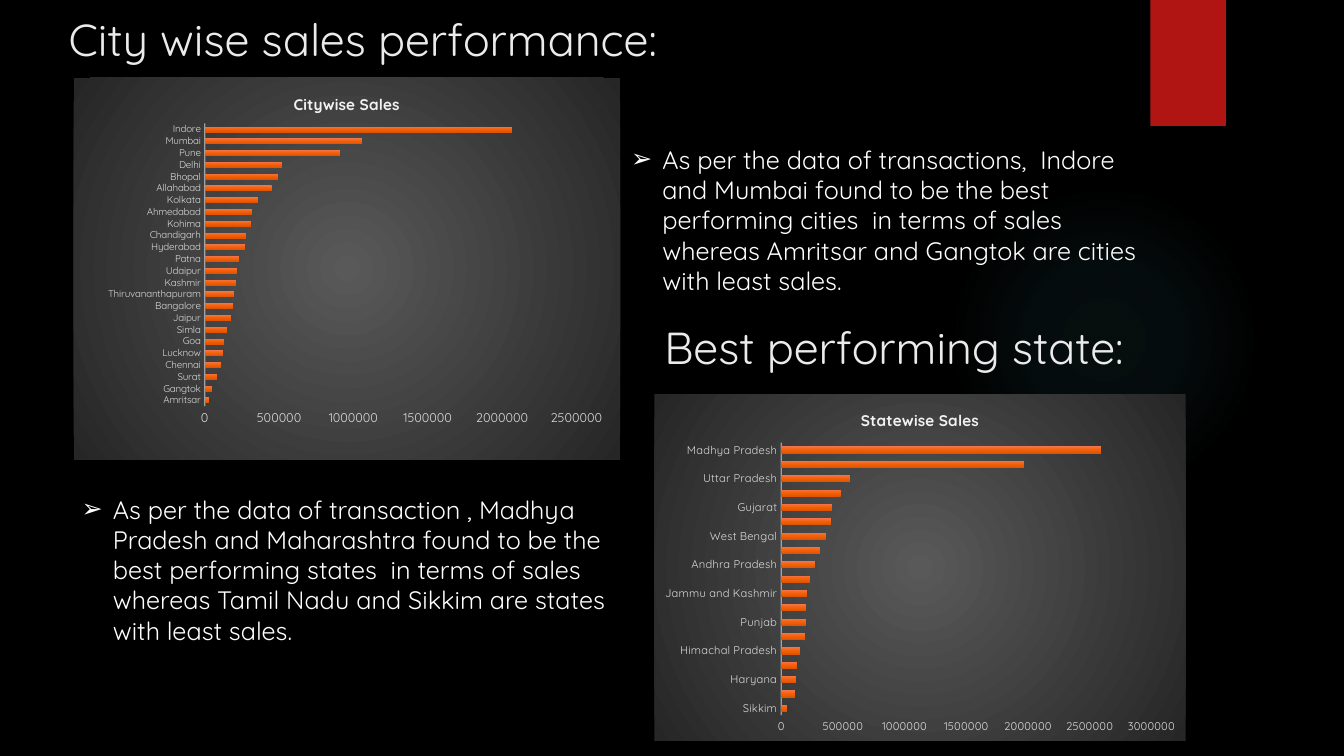
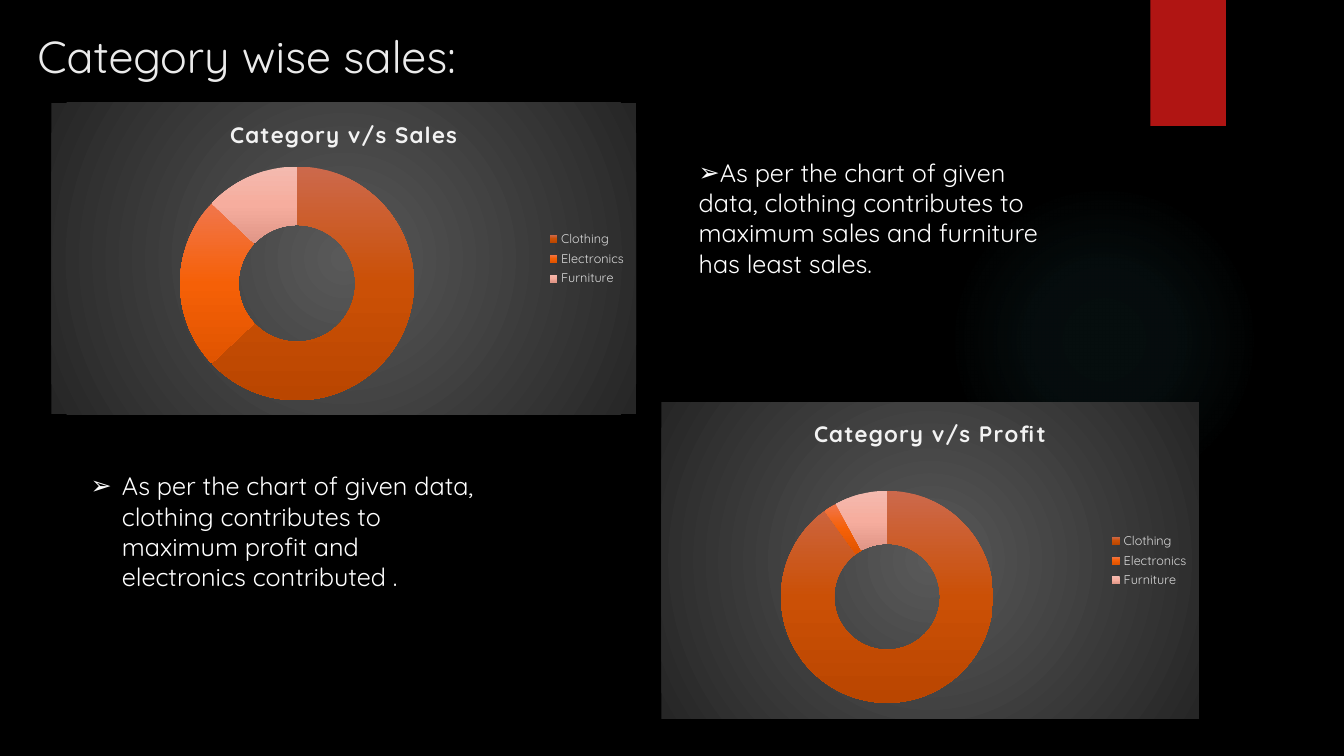
"""Build two dark slides on sales by city, state and category."""
from lxml import etree
from pptx import Presentation
from pptx.chart.data import CategoryChartData
from pptx.dml.color import RGBColor
from pptx.enum.chart import XL_CHART_TYPE, XL_LEGEND_POSITION, XL_TICK_MARK
from pptx.enum.shapes import MSO_SHAPE
from pptx.enum.text import MSO_ANCHOR, MSO_AUTO_SIZE, PP_ALIGN
from pptx.oxml import parse_xml
from pptx.oxml.ns import nsdecls, qn
from pptx.util import Inches, Pt

BAR = XL_CHART_TYPE.BAR_CLUSTERED
DOUGHNUT = XL_CHART_TYPE.DOUGHNUT
LEGEND_RIGHT = XL_LEGEND_POSITION.RIGHT
NO_TICK = XL_TICK_MARK.NONE
OVAL, RECTANGLE = MSO_SHAPE.OVAL, MSO_SHAPE.RECTANGLE
TOP, BOTTOM = MSO_ANCHOR.TOP, MSO_ANCHOR.BOTTOM
NO_AUTOFIT = MSO_AUTO_SIZE.NONE
LEFT = PP_ALIGN.LEFT

FONT = "Quicksand"
COLORS = {
    "background": "000000", "ribbon": "B01513", "glow": "50B9C1",
    "heading": "EBEBEB", "text": "FFFFFF", "chart_title": "F2F2F2",
    "label": "D9D9D9", "axis": "F2F2F2",
}
ORANGE = [(0, "F1764C"), (50, "F56007"), (100, "E05400")]
RUST = [(0, "CC694C"), (50, "CB5006"), (100, "BA4600")]
PINK = [(0, "F4BAAF"), (50, "F6AD9E"), (100, "E09687")]
PANEL = [(0, "595959"), (100, "262626")]
GLOW = [(0, COLORS["glow"], 7), (36, COLORS["glow"], 6), (69, COLORS["glow"], 0)]

CITY_SALES = {
    "Amritsar": 30000, "Gangtok": 50000, "Surat": 80000, "Chennai": 110000,
    "Lucknow": 120000, "Goa": 130000, "Simla": 150000, "Jaipur": 180000,
    "Bangalore": 190000, "Thiruvananthapuram": 200000, "Kashmir": 210000,
    "Udaipur": 220000, "Patna": 230000, "Hyderabad": 270000,
    "Chandigarh": 280000, "Kohima": 310000, "Ahmedabad": 320000,
    "Kolkata": 360000, "Allahabad": 450000, "Bhopal": 490000,
    "Delhi": 520000, "Pune": 910000, "Mumbai": 1060000, "Indore": 2070000,
}
STATE_SALES = {
    "Sikkim": 50000, "Tamil Nadu": 110000, "Haryana": 120000, "Goa": 130000,
    "Himachal Pradesh": 150000, "Karnataka": 190000, "Punjab": 200000,
    "Kerala": 200000, "Jammu and Kashmir": 210000, "Bihar": 230000,
    "Andhra Pradesh": 270000, "Nagaland": 310000, "West Bengal": 360000,
    "Rajasthan": 400000, "Gujarat": 410000, "Delhi": 480000,
    "Uttar Pradesh": 560000, "Maharashtra": 1970000, "Madhya Pradesh": 2590000,
}
CATEGORY_SALES = {"Clothing": 63, "Electronics": 24, "Furniture": 13}
CATEGORY_PROFIT = {"Clothing": 90, "Electronics": -2, "Furniture": 8}


def rgb(name):
    """Return the named colour."""
    return RGBColor.from_string(COLORS[name])


def place(shape, box):
    """Move a shape to a box given in inches."""
    shape.left, shape.top, shape.width, shape.height = map(Inches, box)


def style_font(font, size, color="text", bold=False):
    """Give a font the deck's typeface with a size and colour."""
    font.name, font.size, font.bold = FONT, Pt(size), bold
    font.color.rgb = rgb(color)


def write(frame, text, size=18, color="text", bold=False, align=None):
    """Write one formatted paragraph and return it."""
    frame.text = text
    paragraph = frame.paragraphs[0]
    if align is not None:
        paragraph.alignment = align
    style_font(paragraph.runs[0].font, size, color, bold)
    return paragraph


def gradient(stops, circle=False):
    """Return a vertical or circular gradient fill element."""
    marks = ""
    for position, color, *alpha in stops:
        opacity = f'<a:alpha val="{alpha[0] * 1000}"/>' if alpha else ""
        marks += f'<a:gs pos="{position * 1000}"><a:srgbClr val="{color}">{opacity}</a:srgbClr></a:gs>'
    direction = '<a:lin ang="5400000" scaled="0"/>'
    if circle:
        direction = '<a:path path="circle"><a:fillToRect l="50000" t="50000" r="50000" b="50000"/></a:path>'
    return parse_xml(f'<a:gradFill {nsdecls("a")} rotWithShape="1"><a:gsLst>{marks}</a:gsLst>{direction}</a:gradFill>')


def fill_gradient(fill, properties, stops, circle=False):
    """Fill the shape properties with a gradient."""
    fill.solid()
    solid = properties.find(qn("a:solidFill"))
    properties.replace(solid, gradient(stops, circle))


def decorate_master(prs, slide):
    """Put the black background, glow and ribbon on the slide master."""
    master = prs.slide_master
    master.background.fill.solid()
    master.background.fill.fore_color.rgb = rgb("background")
    glow = slide.shapes.add_shape(OVAL, *map(Inches, (9.41, 1.83, 3.08, 3.08)))
    fill_gradient(glow.fill, glow.element.spPr, GLOW, circle=True)
    ribbon = slide.shapes.add_shape(RECTANGLE, *map(Inches, (11.41, 0, 0.75, 1.25)))
    ribbon.fill.solid()
    ribbon.fill.fore_color.rgb = rgb("ribbon")
    for position, ornament in enumerate((glow, ribbon)):
        ornament.line.fill.background()
        ornament.shadow.inherit = False
        ornament.element.nvSpPr.cNvPr.id = 20 + position
        master.shapes.element.insert(2 + position, ornament.element)


def heading(shape, text, box):
    """Turn a title or text box into a large left-aligned heading."""
    place(shape, box)
    frame = shape.text_frame
    frame.word_wrap, frame.auto_size = True, NO_AUTOFIT
    frame.vertical_anchor = BOTTOM
    write(frame, text, size=32, color="heading", align=LEFT)


def finding(body, text, box, indent=0.31):
    """Fill a body placeholder with one arrow-bulleted finding."""
    place(body, box)
    frame = body.text_frame
    frame.word_wrap, frame.auto_size = True, NO_AUTOFIT
    frame.vertical_anchor = TOP
    paragraph = write(frame, text, align=LEFT)
    paragraph.space_before = Pt(0)
    properties = paragraph._p.get_or_add_pPr()
    properties.set("marL", str(Inches(indent)))
    properties.set("indent", str(-Inches(indent)))
    etree.SubElement(properties, qn("a:buChar")).set("char", "➢")


def set_plot_area(chart, bounds):
    """Fix the inner plot area as fractions of the chart."""
    plot_area = chart._chartSpace.chart.plotArea
    for layout in plot_area.findall(qn("c:layout")):
        plot_area.remove(layout)
    modes = '<c:xMode val="edge"/><c:yMode val="edge"/>'
    sizes = "".join(f'<c:{side} val="{value}"/>' for side, value in zip("xywh", bounds))
    plot_area.insert(0, parse_xml(
        f'<c:layout {nsdecls("c")}><c:manualLayout><c:layoutTarget val="inner"/>'
        f'{modes}{sizes}</c:manualLayout></c:layout>'))


def add_panel_chart(slide, kind, title, values, box, title_size, size=10, plot_area=None):
    """Add a titled chart on a grey gradient panel."""
    data = CategoryChartData()
    data.categories = list(values)
    data.add_series("Series 1", list(values.values()))
    chart = slide.shapes.add_chart(kind, *map(Inches, box), data).chart
    style_font(chart.font, size)
    panel = parse_xml(f'<c:spPr {nsdecls("c", "a")}><a:ln><a:noFill/></a:ln></c:spPr>')
    panel.insert(0, gradient(PANEL, circle=True))
    chart._chartSpace.find(qn("c:txPr")).addprevious(panel)
    chart.has_title = True
    write(chart.chart_title.text_frame, title, size=title_size, color="chart_title", bold=True)
    chart.has_legend = False
    if plot_area:
        set_plot_area(chart, plot_area)
    return chart


def add_sales_bars(slide, title, values, box, label_size, value_size, **options):
    """Add a horizontal bar chart of sales by place."""
    chart = add_panel_chart(slide, BAR, title, values, box, title_size=11, **options)
    plot = chart.plots[0]
    plot.gap_width, plot.overlap, plot.vary_by_categories = 115, -20, False
    series = plot.series[0]
    fill_gradient(series.format.fill, series._element.get_or_add_spPr(), ORANGE)
    places, amounts = chart.category_axis, chart.value_axis
    for axis, axis_size in ((places, label_size), (amounts, value_size)):
        axis.has_major_gridlines = False
        axis.major_tick_mark = axis.minor_tick_mark = NO_TICK
        style_font(axis.tick_labels.font, axis_size, "label")
    amounts.format.line.fill.background()
    places.format.line.width = Pt(1)
    places.format.line.color.rgb = rgb("axis")
    axis_color = places._element.xpath("c:spPr//a:srgbClr")[0]
    etree.SubElement(axis_color, qn("a:alpha")).set("val", "54000")


def add_category_ring(slide, title, values, box, plot_area):
    """Add a doughnut chart of shares by category."""
    chart = add_panel_chart(slide, DOUGHNUT, title, values, box, title_size=16, plot_area=plot_area)
    title_run = chart.chart_title.text_frame.paragraphs[0].runs[0]
    title_run.font._element.set("spc", "100")
    chart.has_legend = True
    chart.legend.position = LEGEND_RIGHT
    chart.legend.include_in_layout = False
    style_font(chart.legend.font, 9, "label")
    plot = chart.plots[0]
    plot.vary_by_categories = True
    plot.has_data_labels = False
    plot._element.find(qn("c:holeSize")).set("val", "75")
    series = plot.series[0]
    for index, stops in enumerate((RUST, ORANGE, PINK)):
        point_fill = series.points[index].format.fill
        point_fill.solid()
        properties = series._element.findall(qn("c:dPt"))[index].find(qn("c:spPr"))
        fill_gradient(point_fill, properties, stops)


def build_places(slide):
    """Fill the slide on cities and states."""
    title, city_finding, state_finding = slide.placeholders
    heading(title, "City wise sales performance:", (0.58, -0.02, 10.29, 0.72))
    heading(slide.shapes.add_textbox(0, 0, 0, 0), "Best performing state:", (6.49, 3.03, 6.05, 0.72))
    finding(city_finding,
            "As per the data of transactions,  Indore and Mumbai found to be the best performing "
            "cities  in terms of sales whereas Amritsar and Gangtok are cities with least sales.",
            (6.16, 1.38, 5.49, 1.65))
    finding(state_finding,
            "As per the data of transaction , Madhya Pradesh and Maharashtra found to be the best "
            "performing states  in terms of sales whereas Tamil Nadu and Sikkim are states with least sales.",
            (0.71, 4.85, 5.49, 1.65))
    add_sales_bars(slide, "Statewise Sales", STATE_SALES, (6.49, 3.91, 5.27, 3.44),
                   label_size=8, value_size=8, size=8)
    add_sales_bars(slide, "Citywise Sales", CITY_SALES, (0.73, 0.77, 5.42, 3.79),
                   label_size=7, value_size=9, plot_area=(0.24, 0.12, 0.68, 0.74))


def build_categories(slide):
    """Fill the slide on product categories."""
    title, profit_finding, sales_finding = slide.placeholders
    heading(title, "Category wise sales:", (0.27, 0.2, 10.81, 0.67))
    finding(profit_finding,
            "As per the chart of given data, clothing contributes to maximum profit and "
            "electronics contributed .",
            (0.8, 4.62, 4.09, 1.62))
    finding(sales_finding,
            "As per the chart of given data, clothing contributes to maximum sales and "
            "furniture has least sales.",
            (6.83, 1.51, 3.8, 1.62), indent=0)
    add_category_ring(slide, "Category v/s Sales", CATEGORY_SALES, (0.51, 1.02, 5.8, 3.09),
                      plot_area=(0.22, 0.2, 0.4, 0.76))
    add_category_ring(slide, "Category v/s Profit", CATEGORY_PROFIT, (6.56, 3.99, 5.33, 3.14),
                      plot_area=(0.22, 0.28, 0.4, 0.67))


def main():
    """Build and save the presentation."""
    prs = Presentation()
    prs.slide_width, prs.slide_height = Inches(13.33), Inches(7.5)
    two_content = prs.slide_layouts[3]
    places, categories = (prs.slides.add_slide(two_content) for _ in range(2))
    decorate_master(prs, places)
    build_places(places)
    build_categories(categories)
    prs.save("out.pptx")


if __name__ == "__main__":
    main()
